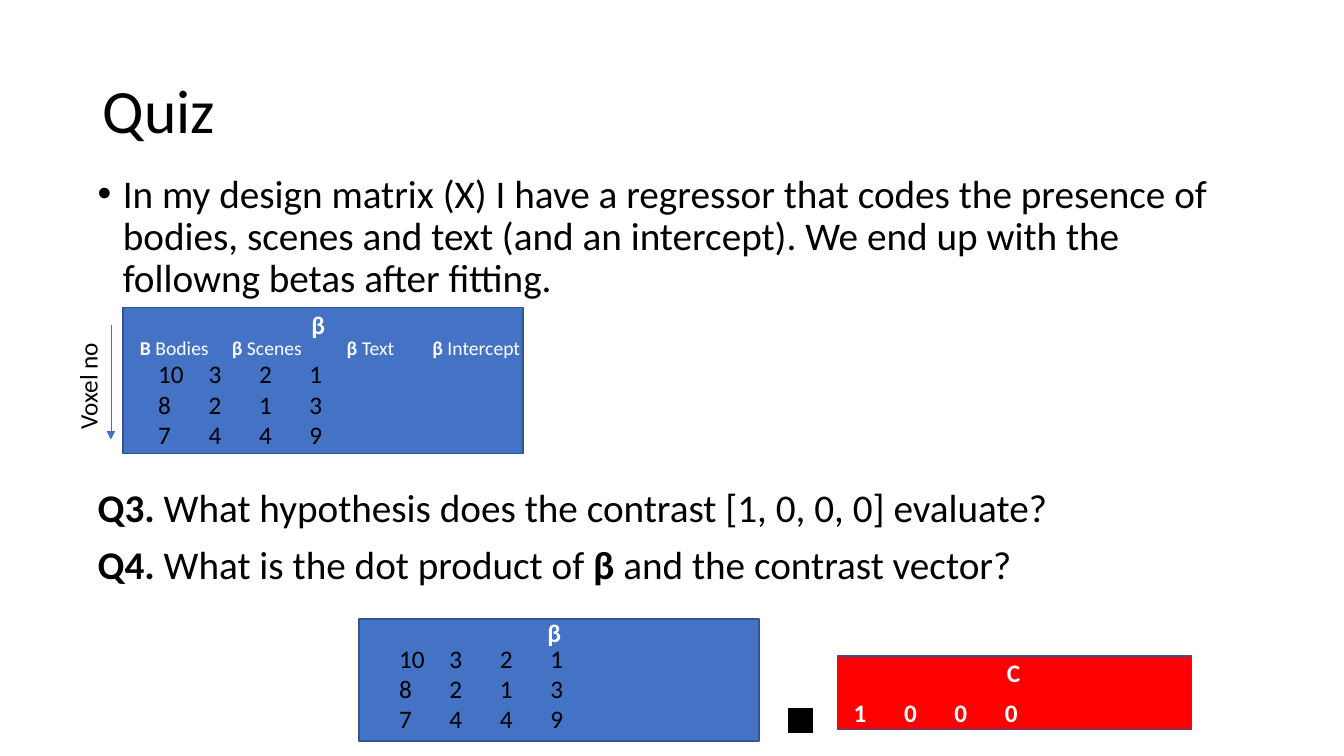
import dataclasses
import pptx
import pptx.dml.color
import pptx.enum.shapes
import pptx.enum.text
import pptx.oxml
import pptx.oxml.ns
import pptx.util
from pptx.oxml.ns import qn


@dataclasses.dataclass(frozen=True)
class Theme:
    font: str = "Calibri"
    ink: str = "000000"
    paper: str = "FFFFFF"
    matrix: str = "4472C4"
    edge: str = "325491"
    contrast: str = "FF0000"
    title: int = 44
    body: int = 28
    value: int = 18
    heading: int = 14


@dataclasses.dataclass(frozen=True)
class Box:
    col: float
    row: float
    cols: float
    rows: float

    def inner(self, col, row, cols, rows):
        return Box(self.col + col, self.row + row, cols, rows)

    def frame(self):
        return across(self.col), down(self.row), across(self.cols), down(self.rows)


THEME = Theme()
MIDDLE = pptx.enum.text.MSO_ANCHOR.MIDDLE
BETAS = ["10\t3\t2\t1", "8\t2\t1\t3", "7\t4\t4\t9"]
LABEL_COLS, LABEL_ROWS = 12.98, 5.33
VALUE_COLS, VALUE_ROWS = 28.35, 17.47

deck = pptx.Presentation()
deck.slide_width = pptx.util.Inches(13.33)
deck.slide_height = pptx.util.Inches(7.5)
slide = deck.slides.add_slide(deck.slide_layouts[6])


def across(cols):
    return round(deck.slide_width * cols / 100)


def down(rows):
    return round(deck.slide_height * rows / 100)


def rgb(color):
    return pptx.dml.color.RGBColor.from_string(color)


def write(box, paragraphs, size, color=THEME.ink, spacing=1, gap=0, anchor=None):
    text = slide.shapes.add_textbox(*box.frame())
    frame = text.text_frame
    frame.word_wrap = True
    if anchor is not None:
        frame.vertical_anchor = anchor
    for index, runs in enumerate(paragraphs):
        paragraph = frame.paragraphs[0] if index == 0 else frame.add_paragraph()
        paragraph.line_spacing = spacing
        paragraph.space_before = pptx.util.Pt(gap if index else 0)
        for words, bold in runs:
            run = paragraph.add_run()
            run.text = words
            run.font.name = THEME.font
            run.font.size = pptx.util.Pt(size)
            run.font.bold = bold
            run.font.color.rgb = rgb(color)
    return text


def rectangle(box, fill, edge):
    panel = slide.shapes.add_shape(pptx.enum.shapes.MSO_SHAPE.RECTANGLE, *box.frame())
    panel.shadow.inherit = False
    panel.fill.solid()
    panel.fill.fore_color.rgb = rgb(fill)
    panel.line.color.rgb = rgb(edge)
    panel.line.width = pptx.util.Pt(1)


def title(box):
    write(box, [[("Quiz", False)]], THEME.title, spacing=0.9, anchor=MIDDLE)


def setup(box):
    statement = write(box, [[(
        "In my design matrix (X) I have a regressor that codes the presence of "
        "bodies, scenes and text (and an intercept). We end up with the "
        "followng betas after fitting.", False)]], THEME.body, spacing=0.9)
    properties = statement.text_frame.paragraphs[0]._p.get_or_add_pPr()
    indent = pptx.util.Inches(0.25)
    properties.set("marL", str(indent))
    properties.set("indent", str(-indent))
    bullet_font = pptx.oxml.parse_xml(
        f'<a:buFont {pptx.oxml.ns.nsdecls("a")} typeface="Arial"/>')
    bullet = pptx.oxml.parse_xml(
        f'<a:buChar {pptx.oxml.ns.nsdecls("a")} char="\u2022"/>')
    properties.extend([bullet_font, bullet])


def questions(box):
    write(box, [
        [("Q3. ", True),
         ("What hypothesis does the contrast [1, 0, 0, 0] evaluate?", False)],
        [("Q4.", True), (" What is the dot product of ", False),
         ("β ", True), ("and the contrast vector?", False)],
    ], THEME.body, spacing=0.9, gap=10)


def beta_matrix(box, label_row, value_col, value_row):
    rectangle(box, THEME.matrix, THEME.edge)
    write(box.inner(13.28, label_row, LABEL_COLS, LABEL_ROWS),
          [[("β", True)]], THEME.value, THEME.paper)
    write(box.inner(value_col, value_row, VALUE_COLS, VALUE_ROWS),
          [[(voxel, False)] for voxel in BETAS], THEME.value)


def regressor_headings(box):
    headings = write(box, [[
        ("Β ", True), ("Bodies\t", False), ("β ", True), ("Scenes\t", False),
        ("β ", True), ("Text\t", False), ("β", True), (" Intercept", False),
    ]], THEME.heading, THEME.paper)
    properties = headings.text_frame.paragraphs[0]._p.get_or_add_pPr()
    stops = properties.makeelement(qn("a:tabLst"), {})
    for col in (6.83, 15.38, 21.75):
        stop = stops.makeelement(qn("a:tab"), {"pos": str(across(col)), "algn": "l"})
        stops.append(stop)
    properties.append(stops)


def voxel_axis(box):
    label = write(box.inner(-6.9, 7.2, 8.55, LABEL_ROWS),
                  [[("Voxel no", False)]], THEME.value)
    label.rotation = 270
    axis = across(box.col - 0.9)
    arrow = slide.shapes.add_connector(
        pptx.enum.shapes.MSO_CONNECTOR.STRAIGHT,
        axis, down(box.row + 2.27), axis, down(box.row + 17.47))
    arrow.line.color.rgb = rgb(THEME.matrix)
    arrow.line.width = pptx.util.Pt(0.5)
    line = arrow.line._get_or_add_ln()
    line.append(line.makeelement(qn("a:tailEnd"), {"type": "triangle"}))
    outline = arrow._element.spPr
    outline.append(outline.makeelement(qn("a:effectLst"), {}))


def fitted_betas(box):
    beta_matrix(box, label_row=-0.4, value_col=1.88, value_row=6.13)
    regressor_headings(box.inner(0.53, 3.07, 56.33, 4.53))
    voxel_axis(box)


def contrast_vector(box):
    rectangle(box, THEME.contrast, THEME.edge)
    write(box.inner(11.85, -0.53, LABEL_COLS, LABEL_ROWS),
          [[("C", True)]], THEME.value, THEME.paper)
    write(box.inner(0.45, 4.8, 30.83, LABEL_ROWS),
          [[("1\t0\t0\t0", True)]], THEME.value, THEME.paper)


def dot_product(box):
    beta_matrix(box.inner(0, 0, 29.78, 16.13),
                label_row=-0.93, value_col=2.25, value_row=2.53)
    rectangle(box.inner(31.95, 11.86, 1.8, 3.2), THEME.ink, THEME.ink)
    contrast_vector(box.inner(35.63, 4.93, 26.33, 9.73))


title(Box(6.9, 5.33, 86.25, 19.33))
setup(Box(6.53, 22.4, 86.25, 18))
fitted_betas(Box(9.15, 40.67, 29.78, 19.33))
questions(Box(6.53, 64, 86.25, 16))
dot_product(Box(26.7, 81.87, 61.96, 16.13))
deck.save("out.pptx")
